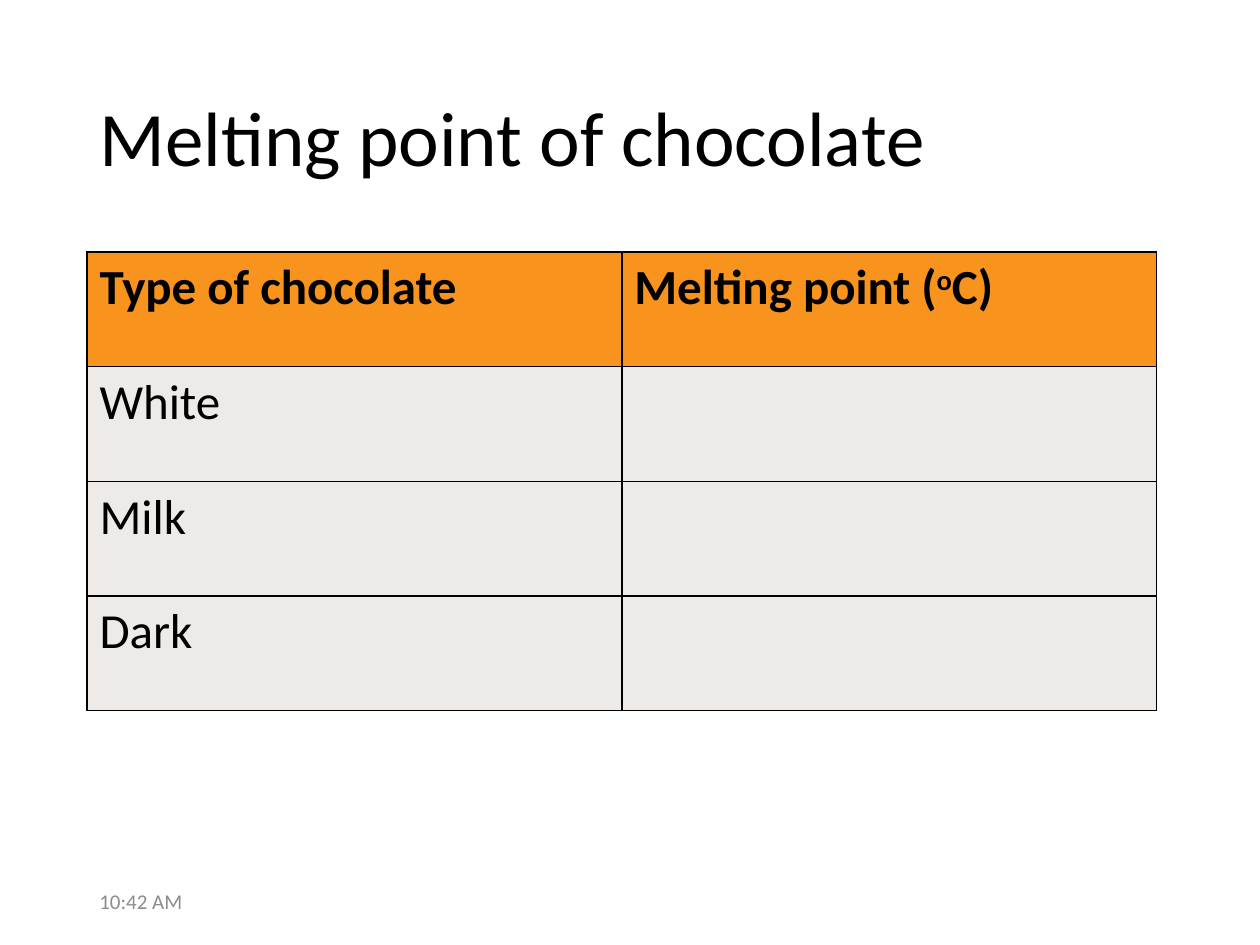
from dataclasses import dataclass

from lxml import etree
from pptx import Presentation
from pptx.dml.color import RGBColor
from pptx.enum.text import MSO_ANCHOR, PP_ALIGN
from pptx.oxml.ns import qn
from pptx.util import Inches, Pt

MIDDLE = MSO_ANCHOR.MIDDLE
LEFT = PP_ALIGN.LEFT
FONT = "Calibri"
COLORS = {"text": "000000", "header": "F8931D", "body": "EEEAE7",
          "border": "000000", "time": "8C8C8C"}
MARGIN = 0.69
COL_W, ROW_H = 4.245, 0.91


@dataclass
class Run:
    text: str
    raised: bool = False


ROWS = [
    [[Run("Type of chocolate")],
     [Run("Melting point ("), Run("o", raised=True), Run("C)")]],
    [[Run("White")], []],
    [[Run("Milk")], []],
    [[Run("Dark")], []],
]


def add_run(p, run: Run, size: float, color: str, bold: bool = False) -> None:
    r = p.add_run()
    r.text = run.text
    r.font.name, r.font.size, r.font.bold = FONT, Pt(size), bold
    r.font.color.rgb = RGBColor.from_string(COLORS[color])
    if run.raised:
        r.font._element.set("baseline", "30000")


def add_borders(cell) -> None:
    tc_pr = cell._tc.get_or_add_tcPr()
    for i, side in enumerate(("lnL", "lnR", "lnT", "lnB")):
        ln = etree.Element(qn(f"a:{side}"), w=str(Pt(1)))
        fill = etree.SubElement(ln, qn("a:solidFill"))
        etree.SubElement(fill, qn("a:srgbClr"), val=COLORS["border"])
        tc_pr.insert(i, ln)


def fill_cell(cell, runs: list[Run], header: bool) -> None:
    cell.fill.solid()
    cell.fill.fore_color.rgb = RGBColor.from_string(
        COLORS["header" if header else "body"])
    add_borders(cell)
    p = cell.text_frame.paragraphs[0]
    p.font.size = Pt(28)
    for run in runs:
        add_run(p, run, 28, "text", bold=header)


def main() -> None:
    prs = Presentation()
    prs.slide_width, prs.slide_height = Inches(10), Inches(7.5)
    s = prs.slides.add_slide(prs.slide_layouts[5])

    # Title
    title = s.shapes.title
    title.left, title.top = Inches(MARGIN), Inches(0.4)
    title.width, title.height = Inches(10 - 2 * MARGIN), Inches(1.45)
    title.text_frame.vertical_anchor = MIDDLE
    p = title.text_frame.paragraphs[0]
    p.alignment, p.line_spacing = LEFT, 0.9
    add_run(p, Run("Melting point of chocolate"), 44, "text")

    # Table of chocolate types
    n_rows, n_cols = len(ROWS), len(ROWS[0])
    table = s.shapes.add_table(
        n_rows, n_cols, Inches(MARGIN), Inches(2),
        Inches(n_cols * COL_W), Inches(n_rows * ROW_H)).table
    for i, row in enumerate(ROWS):
        for j, runs in enumerate(row):
            fill_cell(table.cell(i, j), runs, header=i == 0)

    # Time in the footer
    sp = s.shapes.add_textbox(Inches(MARGIN), Inches(6.95),
                              Inches(2.25), Inches(0.4))
    tf = sp.text_frame
    tf.word_wrap, tf.vertical_anchor = True, MIDDLE
    add_run(tf.paragraphs[0], Run("10:42 AM"), 12, "time")

    prs.save("out.pptx")


if __name__ == "__main__":
    main()
